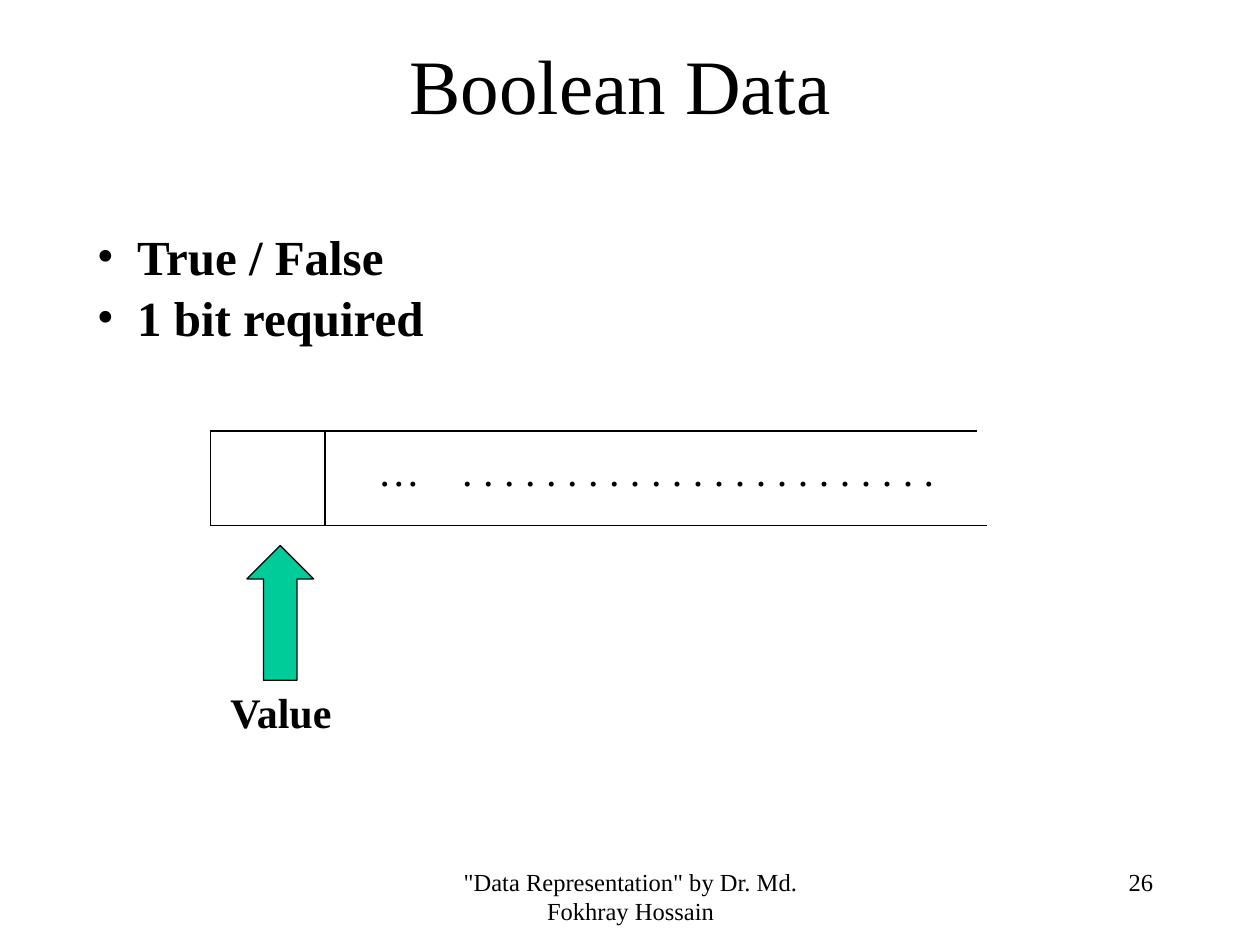
import pptx
import pptx.dml.color
import pptx.enum.shapes
import pptx.enum.text
import pptx.oxml.ns
import pptx.util
from lxml import etree

Inches = pptx.util.Inches
Pt = pptx.util.Pt
ALIGN = pptx.enum.text.PP_ALIGN
ANCHOR = pptx.enum.text.MSO_ANCHOR

COLOURS = {"ink": "000000", "arrow": "00CC99"}
FONT = "Times New Roman"


def colour(name):
    return pptx.dml.color.RGBColor.from_string(COLOURS[name])


def add_child(parent, tag, **attributes):
    return etree.SubElement(parent, pptx.oxml.ns.qn(tag), attributes)


def add_text(slide, box, lines, size, bold=False, align=ALIGN.LEFT, **frame_format):
    frame = slide.shapes.add_textbox(*map(Inches, box)).text_frame
    for key, value in {"word_wrap": True, **frame_format}.items():
        setattr(frame, key, value)
    for index, line in enumerate(lines):
        paragraph = frame.add_paragraph() if index else frame.paragraphs[0]
        paragraph.alignment = align
        run = paragraph.add_run()
        run.text = line
        for key, value in {"name": FONT, "size": Pt(size), "bold": bold}.items():
            setattr(run.font, key, value)
        run.font.color.rgb = colour("ink")
    return frame


def add_bullets(frame, indent):
    for index, paragraph in enumerate(frame.paragraphs):
        if index:
            paragraph.space_before = Pt(1)
        properties = paragraph._p.get_or_add_pPr()
        properties.set("marL", str(Inches(indent)))
        properties.set("indent", str(-Inches(indent)))
        add_child(properties, "a:buFont", typeface=FONT)
        add_child(properties, "a:buChar", char="•")


def add_tab_stop(paragraph, position):
    stops = add_child(paragraph._p.get_or_add_pPr(), "a:tabLst")
    add_child(stops, "a:tab", pos=str(Inches(position)), algn="l")


def add_line(slide, *ends):
    line = slide.shapes.add_connector(
        pptx.enum.shapes.MSO_CONNECTOR.STRAIGHT, *map(Inches, ends))
    line.line.color.rgb = colour("ink")
    line.line.width = Pt(0.75)
    add_child(line._element.spPr, "a:effectLst")


def add_up_arrow(slide, box):
    arrow = slide.shapes.add_shape(
        pptx.enum.shapes.MSO_SHAPE.UP_ARROW, *map(Inches, box))
    arrow.shadow.inherit = False
    arrow.fill.solid()
    arrow.fill.fore_color.rgb = colour("arrow")
    arrow.line.color.rgb = colour("ink")
    arrow.line.width = Pt(0.75)


def add_memory_word(slide):
    left, divider, top, bottom = 1.67, 2.58, 3.42, 4.17
    for x in (left, divider):
        add_line(slide, x, top, x, bottom)
    for y, right in ((top, 7.75), (bottom, 7.83)):
        add_line(slide, left, y, right, y)
    dots = add_text(slide, (2.9, 3.48, 4.87, 0.9),
                    ["…\t" + " ".join("." * 23)], 24)
    add_tab_stop(dots.paragraphs[0], 0.67)


def main():
    deck = pptx.Presentation()
    deck.slide_width, deck.slide_height = Inches(10), Inches(7.5)
    slide = deck.slides.add_slide(deck.slide_layouts[6])

    add_text(slide, (0.75, 0.25, 8.5, 0.83), ["Boolean Data "], 44,
             align=ALIGN.CENTER, vertical_anchor=ANCHOR.MIDDLE)
    facts = add_text(slide, (0.67, 1.25, 8.58, 2.44),
                     ["True / False", "1 bit required"], 28, bold=True,
                     margin_top=Inches(0.55))
    add_bullets(facts, 0.32)

    add_memory_word(slide)
    add_up_arrow(slide, (1.96, 4.33, 0.53, 1.07))
    add_text(slide, (1.73, 5.4, 1.03, 0.5), ["Value"], 24, bold=True,
             word_wrap=False)

    add_text(slide, (3.42, 6.83, 3.17, 0.5),
             ['"Data Representation" by Dr. Md. Fokhray Hossain'], 14,
             align=ALIGN.CENTER)
    add_text(slide, (7.17, 6.83, 2.08, 0.5), ["26"], 14, align=ALIGN.RIGHT)
    deck.save("out.pptx")


if __name__ == "__main__":
    main()
